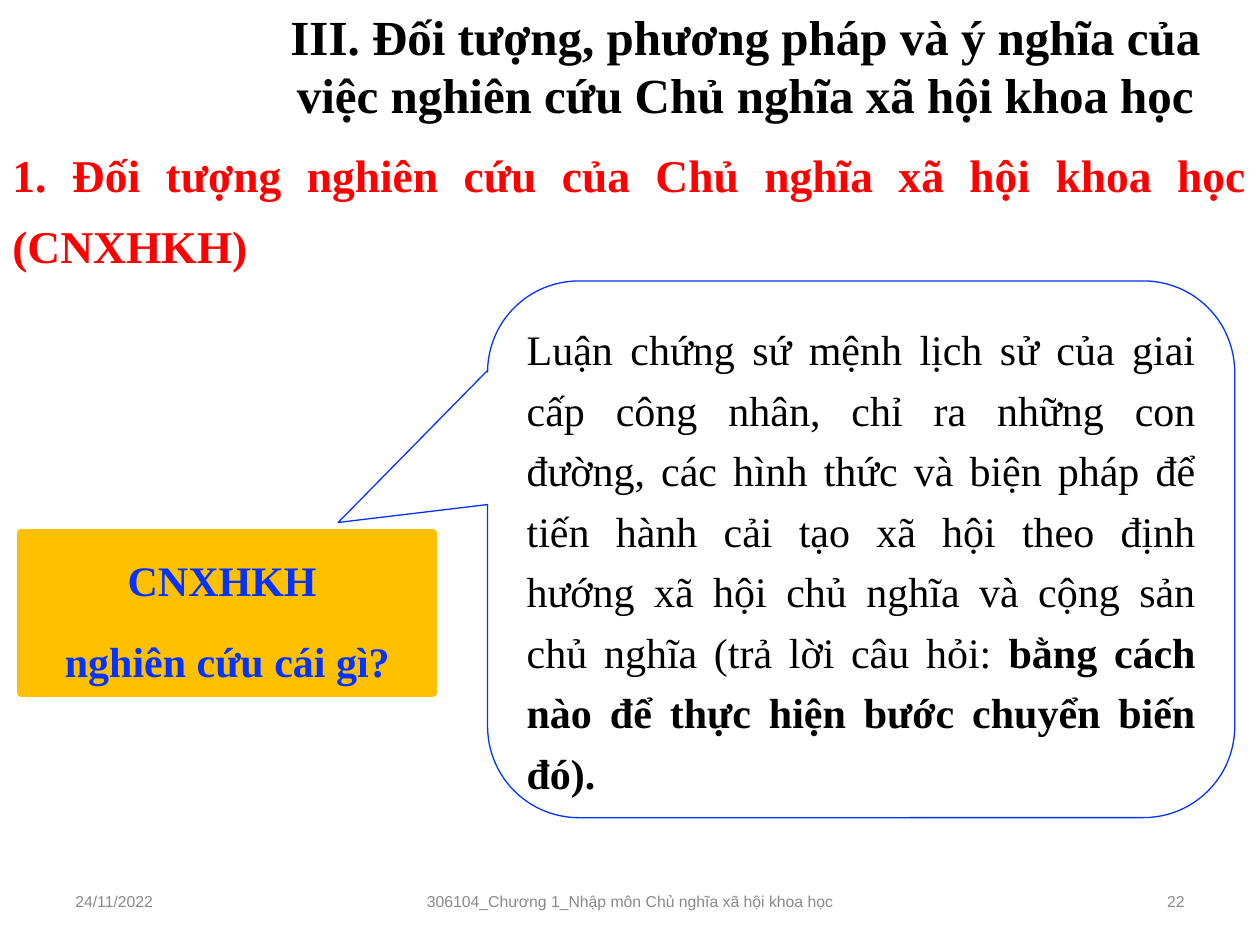
from pptx import Presentation
from pptx.dml.color import RGBColor
from pptx.enum.shapes import MSO_SHAPE
from pptx.enum.text import MSO_ANCHOR, PP_ALIGN
from pptx.util import Inches, Pt

RECT = MSO_SHAPE.RECTANGLE
CALLOUT = MSO_SHAPE.ROUNDED_RECTANGULAR_CALLOUT
TOP, MIDDLE = MSO_ANCHOR.TOP, MSO_ANCHOR.MIDDLE
LEFT, CENTER = PP_ALIGN.LEFT, PP_ALIGN.CENTER
RIGHT, JUSTIFY = PP_ALIGN.RIGHT, PP_ALIGN.JUSTIFY
BLACK = RGBColor(0x00, 0x00, 0x00)
RED = RGBColor(0xFF, 0x00, 0x00)
BLUE = RGBColor(0x04, 0x32, 0xFF)
GOLD = RGBColor(0xFF, 0xC0, 0x00)
GRAY = RGBColor(0x89, 0x89, 0x89)
SERIF, SANS = "Times New Roman", "Arial"


def style(run, size, color, bold=False, name=SERIF):
    font = run.font
    font.size, font.bold, font.name = Pt(size), bold, name
    font.color.rgb = color


def space(para, line, before, after=0):
    para.line_spacing = line
    para.space_before, para.space_after = Pt(before), Pt(after)


def add_text(slide, box, text, align, size, color, bold=False, name=SERIF, anchor=TOP):
    frame = slide.shapes.add_textbox(*map(Inches, box)).text_frame
    frame.word_wrap = True
    frame.vertical_anchor = anchor
    para = frame.paragraphs[0]
    para.text = text
    para.alignment = align
    style(para.runs[0], size, color, bold, name)
    return para


def add_panel(slide, kind, box, color, width):
    shape = slide.shapes.add_shape(kind, *map(Inches, box))
    shape.shadow.inherit = False
    shape.line.color.rgb = color
    shape.line.width = Pt(width)
    shape.text_frame.word_wrap = True
    shape.text_frame.vertical_anchor = TOP
    return shape


def add_topic(slide, box):
    panel = add_panel(slide, RECT, box, GOLD, 4.5)
    panel.fill.solid()
    panel.fill.fore_color.rgb = GOLD
    frame = panel.text_frame
    frame.text = "CNXHKH \nnghiên cứu cái gì?"
    for para in frame.paragraphs:
        para.alignment = CENTER
        space(para, 1.3, 4.5, 4.5)
        style(para.runs[0], 24, BLUE, True)


def add_answer(slide, box):
    bubble = add_panel(slide, CALLOUT, box, BLUE, 0.75)
    bubble.fill.background()
    for index, value in enumerate((-0.7, -0.05, 0.17)):
        bubble.adjustments[index] = value
    para = bubble.text_frame.paragraphs[0]
    para.text = (
        "Luận chứng sứ mệnh lịch sử của giai cấp công nhân, chỉ ra những con đường, "
        "các hình thức và biện pháp để tiến hành cải tạo xã hội theo định hướng "
        "xã hội chủ nghĩa và cộng sản chủ nghĩa (trả lời câu hỏi: "
    )
    para.add_run().text = "bằng cách nào để thực hiện bước chuyển biến đó)."
    para.alignment = JUSTIFY
    space(para, 1.2, 9)
    for run, bold in zip(para.runs, (False, True)):
        style(run, 24, BLACK, bold)


def add_footer(slide, box):
    left, top, width, height = box
    side, mid = 2.33, 3.5
    parts = (
        (left, side, "24/11/2022", LEFT),
        (left + (width - mid) / 2, mid,
         "306104_Chương 1_Nhập môn Chủ nghĩa xã hội khoa học", CENTER),
        (left + width - side, side, "22", RIGHT),
    )
    for x, span, text, align in parts:
        add_text(slide, (x, top, span, height), text, align, 9, GRAY,
                 name=SANS, anchor=MIDDLE)


def main():
    deck = Presentation()
    deck.slide_width, deck.slide_height = Inches(10), Inches(7.5)
    slide = deck.slides.add_slide(deck.slide_layouts[6])
    head = add_text(
        slide, (0, 0.99, 10, 1.23),
        "1. Đối tượng nghiên cứu của Chủ nghĩa xã hội khoa học (CNXHKH)",
        JUSTIFY, 26, RED, True)
    space(head, 1.3, 4.5, 4.5)
    add_topic(slide, (0.17, 4.23, 3.27, 1.27))
    add_answer(slide, (3.87, 2.23, 5.93, 4.26))
    add_footer(slide, (0.5, 6.95, 9, 0.4))
    add_text(
        slide, (2, 0, 7.83, 1.04),
        "III. Đối tượng, phương pháp và ý nghĩa của việc nghiên cứu "
        "Chủ nghĩa xã hội khoa học",
        CENTER, 28, BLACK, True)
    deck.save("out.pptx")


if __name__ == "__main__":
    main()
